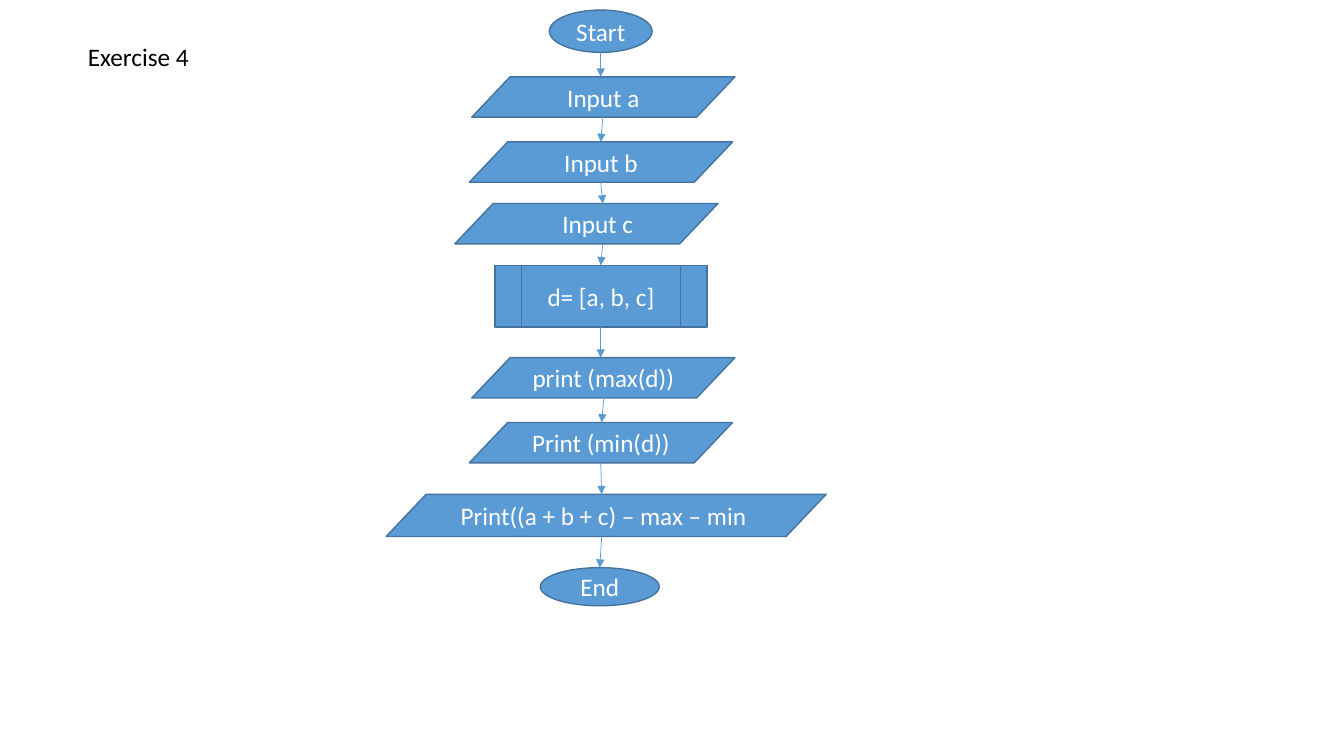
from itertools import pairwise
from typing import NamedTuple

from lxml.etree import SubElement
from pptx import Presentation
from pptx.dml.color import RGBColor
from pptx.enum.shapes import MSO_CONNECTOR, MSO_SHAPE
from pptx.enum.text import MSO_ANCHOR, MSO_AUTO_SIZE, PP_ALIGN
from pptx.oxml.ns import qn
from pptx.util import Pt

COLORS = {"fill": "5B9BD5", "outline": "43739E", "light": "FFFFFF", "dark": "000000"}


class Step(NamedTuple):
    """One flowchart box, with the x of its incoming and outgoing arrows."""
    text: str
    kind: MSO_SHAPE
    left: float
    top: float
    width: float
    height: float
    arrow_in: float
    arrow_out: float
    text_shift: float = 0


class FlowchartSlide:
    """Holds the style and the slide, and draws each kind of element."""
    font_name = "Calibri"
    font_size = 18
    slant = 0.95
    inset = 7.2

    def __init__(self, slide):
        self.slide = slide

    def color(self, name):
        return RGBColor.from_string(COLORS[name])

    def add_text(self, frame, text, color, frame_format, alignment):
        for name, value in frame_format.items():
            setattr(frame, name, value)
        para = frame.paragraphs[0]
        para.alignment = alignment
        span = para.add_run()
        span.text = text
        font_format = {"name": self.font_name, "size": Pt(self.font_size)}
        for name, value in font_format.items():
            setattr(span.font, name, value)
        span.font.color.rgb = self.color(color)

    def stroke(self, line, color, width):
        line.color.rgb = self.color(color)
        line.width = Pt(width)

    def label(self, text, left, top, width, height):
        box = self.slide.shapes.add_textbox(Pt(left), Pt(top), Pt(width), Pt(height))
        frame_format = {"word_wrap": False, "auto_size": MSO_AUTO_SIZE.SHAPE_TO_FIT_TEXT}
        self.add_text(box.text_frame, text, "dark", frame_format, PP_ALIGN.LEFT)

    def step(self, step):
        box = self.slide.shapes.add_shape(
            step.kind, Pt(step.left), Pt(step.top), Pt(step.width), Pt(step.height))
        box.shadow.inherit = False
        box.fill.solid()
        box.fill.fore_color.rgb = self.color("fill")
        self.stroke(box.line, "outline", 1)
        if step.kind == MSO_SHAPE.PARALLELOGRAM:
            box.adjustments[0] = self.slant
        frame_format = {
            "word_wrap": True,
            "vertical_anchor": MSO_ANCHOR.MIDDLE,
            "margin_left": Pt(self.inset + step.text_shift),
        }
        self.add_text(box.text_frame, step.text, "light", frame_format, PP_ALIGN.CENTER)

    def arrow(self, source, target):
        connector = self.slide.shapes.add_connector(
            MSO_CONNECTOR.STRAIGHT,
            Pt(source.arrow_out), Pt(source.top + source.height),
            Pt(target.arrow_in), Pt(target.top))
        self.stroke(connector.line, "fill", 0.5)
        properties = connector._element.spPr
        SubElement(properties.find(qn("a:ln")), qn("a:tailEnd"), type="triangle")
        SubElement(properties, qn("a:effectLst"))


OVAL = MSO_SHAPE.OVAL
DATA = MSO_SHAPE.PARALLELOGRAM
PROCESS = MSO_SHAPE.FLOWCHART_PREDEFINED_PROCESS
DATA_SIZE = (188, 28.8)

STEPS = [
    Step("Start", OVAL, 392.4, 7.2, 73.4, 30.2, 429.1, 429.1),
    Step("Input a", DATA, 337, 54.9, *DATA_SIZE, 429.1, 430.6),
    Step("Input b", DATA, 335.3, 101.4, *DATA_SIZE, 429.1, 429.1),
    Step("Input c", DATA, 324.9, 145.4, *DATA_SIZE, 430.6, 430.6, 16),
    Step("d= [a, b, c]", PROCESS, 353.7, 189.5, 151.2, 44.2, 429.1, 429.1),
    Step("print (max(d))", DATA, 337, 255.5, *DATA_SIZE, 429.1, 431.3),
    Step("Print (min(d))", DATA, 335.3, 301.8, *DATA_SIZE, 429.8, 429.1),
    Step("Print((a + b + c) – max – min", DATA, 275.8, 353, 314.4, 30.2, 429.8, 429.8, -4),
    Step("End", OVAL, 385.9, 405.5, 85, 27.2, 428.4, 428.4),
]

deck = Presentation()
deck.slide_width, deck.slide_height = Pt(960), Pt(540)
page = FlowchartSlide(deck.slides.add_slide(deck.slide_layouts[6]))

for step in STEPS:
    page.step(step)
for source, target in pairwise(STEPS):
    page.arrow(source, target)
page.label("Exercise 4", 55.7, 26.2, 87, 29)

deck.save("out.pptx")
